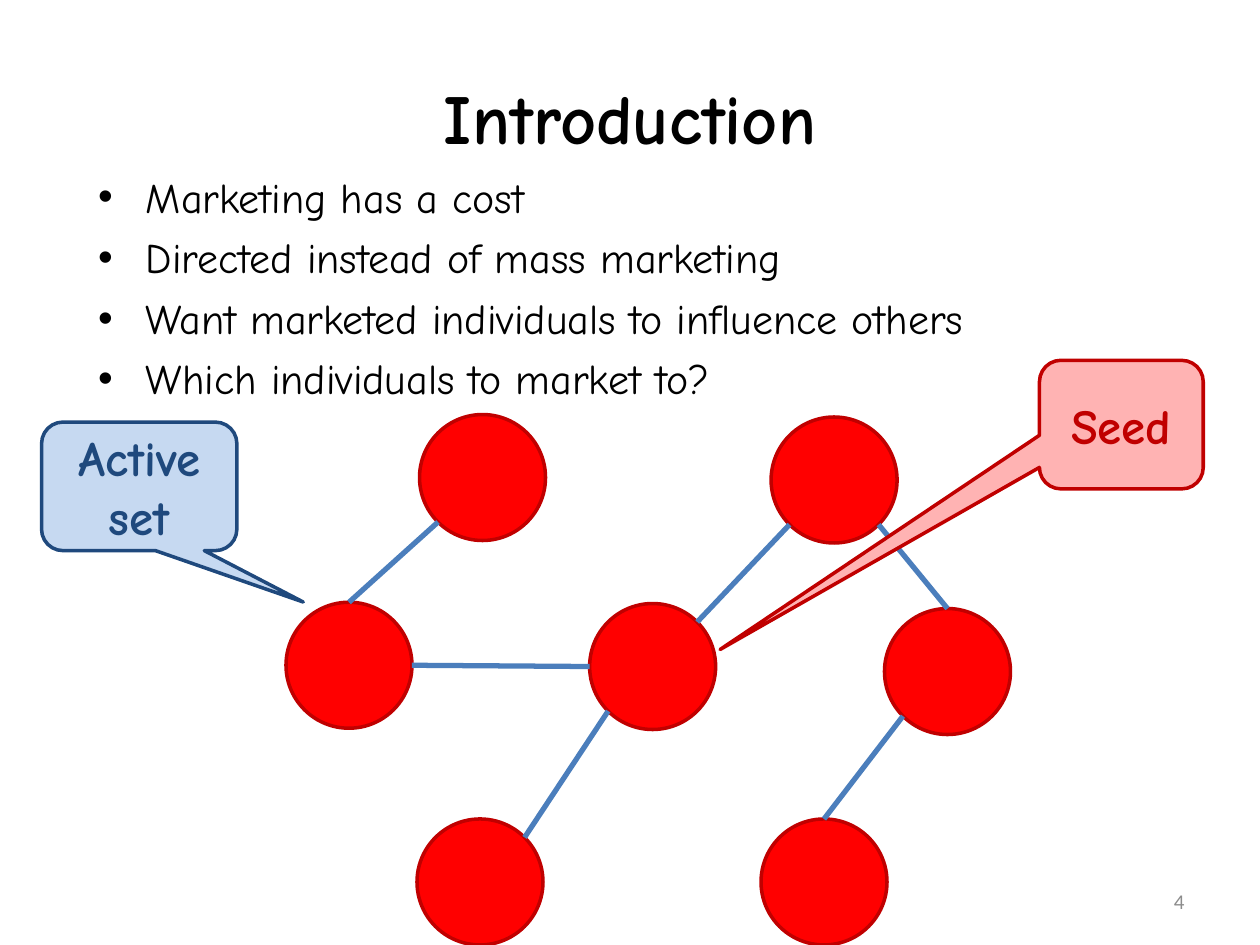
from math import cos, radians, sin

from lxml import etree
from pptx import Presentation
from pptx.dml.color import RGBColor
from pptx.enum.shapes import MSO_CONNECTOR, MSO_SHAPE
from pptx.enum.text import MSO_ANCHOR, PP_ALIGN
from pptx.oxml.ns import qn
from pptx.util import Emu, Pt

PX = 9144  # EMU per px, 100 px to the inch
OVAL = MSO_SHAPE.OVAL
CALLOUT = MSO_SHAPE.ROUNDED_RECTANGULAR_CALLOUT
LINE = MSO_CONNECTOR.STRAIGHT
TOP, MID = MSO_ANCHOR.TOP, MSO_ANCHOR.MIDDLE
LEFT, CENTER, RIGHT = PP_ALIGN.LEFT, PP_ALIGN.CENTER, PP_ALIGN.RIGHT

SIZE = 100  # node diameter
NODES = {
    "seed": (241, 150), "west": (0, 149), "east": (475, 154),
    "low right": (377, 321), "low left": (104, 321),
    "top left": (106, 0), "top right": (385, 2),
}
# Each end is a node and the clockwise angle of its contact point
EDGES = [
    ("west", 270, "top left", 135), ("west", 0, "seed", 180),
    ("low left", 315, "seed", 135), ("seed", 315, "top right", 135),
    ("east", 135, "low right", 270), ("top right", 45, "east", 270),
]
POINTS = [
    "Marketing has a cost",
    "Directed instead of mass marketing",
    "Want marketed individuals to influence others",
    "Which individuals to market to?",
]


def px(*nums):
    return [Emu(round(num * PX)) for num in nums]


def rgb(code):
    return RGBColor.from_string(code)


def bullet(para, dent):
    props = para._p.get_or_add_pPr()
    props.set("marL", str(dent * PX))
    props.set("indent", str(-dent * PX))
    etree.SubElement(props, qn("a:buFont")).set("typeface", "Arial")
    etree.SubElement(props, qn("a:buChar")).set("char", "•")


def write(shape, text, size=24, font="Comic Neue", color="000000",
          bold=False, align=LEFT, anchor=TOP, dent=0, gap=0):
    frame = shape.text_frame
    frame.word_wrap = True
    frame.vertical_anchor = anchor
    frame.text = text
    for num, para in enumerate(frame.paragraphs):
        if dent:
            bullet(para, dent)
        para.alignment = align
        para.space_before = Pt(gap if num else 0)
        for run in para.runs:
            run.font.size, run.font.name = Pt(size), font
            run.font.bold, run.font.color.rgb = bold, rgb(color)


def draw(slide, kind, box, fill, line):
    shape = slide.shapes.add_shape(kind, *px(*box))
    shape.shadow.inherit = False
    shape.fill.solid()
    shape.fill.fore_color.rgb = rgb(fill)
    shape.line.color.rgb = rgb(line)
    shape.line.width = Pt(2)
    return shape


def head(slide, box, text):
    title = slide.shapes.title
    title.left, title.top, title.width, title.height = px(*box)
    write(title, text, size=40, bold=True, align=CENTER, anchor=MID)


def listing(slide, box, items):
    body = slide.shapes.add_textbox(*px(*box))
    write(body, "\n".join(items), dent=38, gap=5.8)


def number(slide, box, text):
    write(slide.shapes.add_textbox(*px(*box)), text, size=12,
          font="Calibri", color="8C8C8C", align=RIGHT, anchor=MID)


def network(slide, left, top):
    def rim(name, angle):
        x, y = NODES[name]
        half, turn = SIZE / 2, radians(angle)
        return px(left + x + half * (1 + cos(turn)),
                  top + y + half * (1 + sin(turn)))

    # Nodes
    for x, y in NODES.values():
        draw(slide, OVAL, (left + x, top + y, SIZE, SIZE),
             "FF0000", "C00000")
    # Links
    for start, out, end, into in EDGES:
        link = slide.shapes.add_connector(
            LINE, *rim(start, out), *rim(end, into))
        link.line.color.rgb = rgb("4B7EBC")
        link.line.width = Pt(3)
        etree.SubElement(link._element.spPr, qn("a:effectLst"))


def callout(slide, box, text, fill, ink, tip):
    shape = draw(slide, CALLOUT, box, fill, ink)
    shape.adjustments[0], shape.adjustments[1] = tip
    write(shape, text, size=28, color=ink, bold=True,
          align=CENTER, anchor=MID)


def main():
    deck = Presentation()
    deck.slide_width, deck.slide_height = px(1000, 750)
    slide = deck.slides.add_slide(deck.slide_layouts[5])
    head(slide, (50, 30, 900, 125), "Introduction")
    listing(slide, (68, 131, 900, 533), POINTS)
    number(slide, (717, 695, 233, 40), "4")
    network(slide, 227, 329)
    callout(slide, (825, 286, 130, 102), "Seed",
            "FFB3B3", "C00000", (-2.45, 1.75))
    callout(slide, (33, 335, 155, 102), "Active\nset",
            "C6D9F1", "1F497D", (0.84, 0.9))
    deck.save("out.pptx")


if __name__ == "__main__":
    main()
